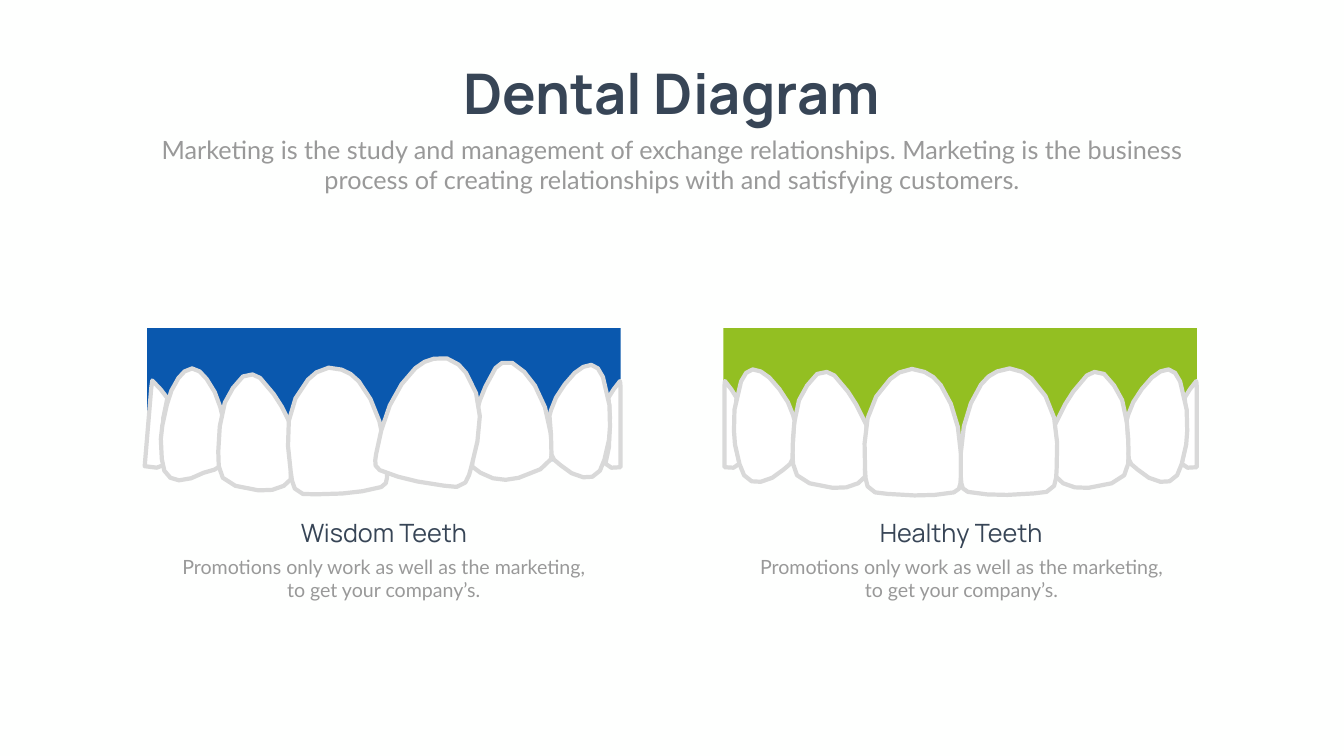
import dataclasses

import pptx
import pptx.dml.color
import pptx.enum.shapes
import pptx.enum.text
import pptx.util

Inches = pptx.util.Inches
GUM_TOP, GUM_WIDTH, GUM_HEIGHT = 6.51, 9.39, 2.64
NAVY, GREY = "374556", "999999"
ADVICE = "Promotions only work as well as the marketing, to get your company’s."


@dataclasses.dataclass
class Outline:
    """Width and corner points in hundredths of an inch."""
    width: int
    points: list[tuple[int, int]]


@dataclasses.dataclass
class Tooth:
    outline: Outline
    left: float
    top: float
    flip: bool = False
    turn: float = 0


@dataclasses.dataclass
class Mouth:
    title: str
    color: str
    left: float
    title_left: float
    note_left: float
    teeth: list[Tooth]


@dataclasses.dataclass
class Style:
    size: int
    font: str
    color: str
    bold: bool = False


EDGE = Outline(30, [
    (6, 33), (9, 72), (7, 131), (0, 164), (12, 172), (30, 171), (30, 11), (29, 0), (16, 17)])
SIDE = Outline(147, [
    (0, 107), (21, 65), (37, 40), (64, 8), (79, 1), (98, 5), (118, 28), (134, 57), (144, 104),
    (147, 154), (146, 183), (138, 206), (113, 222), (67, 231), (40, 230), (17, 222), (3, 209),
    (3, 196), (2, 162), (1, 133), (0, 118)])
CANINE = Outline(121, [
    (0, 101), (3, 90), (13, 65), (30, 39), (50, 16), (67, 4), (83, 0), (96, 7), (106, 24),
    (119, 80), (120, 122), (118, 149), (109, 188), (100, 210), (85, 222), (67, 223),
    (44, 215), (22, 199), (9, 188), (4, 178), (3, 138)])
FRONT = Outline(191, [
    (0, 216), (0, 167), (6, 115), (20, 69), (40, 32), (55, 16), (72, 6), (97, 0), (122, 7),
    (140, 20), (168, 55), (185, 98), (191, 148), (190, 200), (189, 217), (185, 233),
    (170, 245), (145, 248), (92, 251), (52, 250), (14, 245), (4, 238), (1, 228)])
BENT_EDGE = Outline(45, [
    (45, 35), (37, 74), (35, 133), (42, 166), (24, 173), (0, 170), (13, 15), (15, 0), (32, 18)])
BENT_SIDE = Outline(159, [
    (2, 122), (15, 76), (26, 49), (46, 12), (59, 2), (79, 2), (103, 20), (124, 47), (144, 90),
    (155, 140), (159, 168), (156, 193), (135, 213), (92, 230), (66, 234), (41, 231), (16, 220),
    (0, 208), (0, 175), (4, 132)])
BENT_CANINE = Outline(125, [
    (125, 115), (124, 102), (118, 77), (107, 47), (91, 21), (77, 6), (62, 0), (47, 6), (35, 19),
    (21, 44), (12, 72), (3, 113), (0, 140), (2, 180), (7, 203), (19, 217), (36, 222), (60, 218),
    (85, 207), (106, 201), (121, 192), (123, 173), (122, 151)])

MOUTHS = [
    Mouth("Healthy Teeth", "93BF22", 14.35, 16.57, 14.96, [
        Tooth(EDGE, 23.44, 7.56), Tooth(SIDE, 20.92, 7.37), Tooth(CANINE, 22.35, 7.33),
        Tooth(EDGE, 14.37, 7.56, True), Tooth(SIDE, 15.72, 7.37, True),
        Tooth(CANINE, 14.55, 7.33, True), Tooth(FRONT, 17.15, 7.32, True),
        Tooth(FRONT, 19.06, 7.31)]),
    Mouth("Wisdom Teeth", "0A58AE", 2.92, 5.12, 3.5, [
        Tooth(EDGE, 12.01, 7.56), Tooth(BENT_SIDE, 9.37, 7.18), Tooth(CANINE, 10.9, 7.24),
        Tooth(BENT_EDGE, 2.87, 7.55), Tooth(BENT_CANINE, 3.19, 7.31),
        Tooth(SIDE, 4.33, 7.42, True), Tooth(FRONT, 5.69, 7.29, True, 355),
        Tooth(FRONT, 7.63, 7.08, turn=12.3)]),
]


def paint(target, color: str) -> None:
    """Give a fill format a solid colour."""
    target.solid()
    target.fore_color.rgb = pptx.dml.color.RGBColor.from_string(color)


def add_tooth(slide, tooth: Tooth) -> None:
    wide = tooth.outline.width
    points = [(Inches(tooth.left + (wide - x if tooth.flip else x) / 100),
               Inches(tooth.top + y / 100)) for x, y in tooth.outline.points]
    pen = slide.shapes.build_freeform(*points[0])
    pen.add_line_segments(points[1:], close=True)
    shape = pen.convert_to_shape()
    shape.shadow.inherit = False
    shape.rotation = tooth.turn
    paint(shape.fill, "FFFFFF")
    paint(shape.line.fill, "D9D9D9")
    shape.line.width = pptx.util.Pt(6)


def add_text(slide, text: str, box: tuple, style: Style, wrap: bool = True) -> None:
    frame = slide.shapes.add_textbox(*map(Inches, box)).text_frame
    frame.word_wrap = wrap
    frame.auto_size = pptx.enum.text.MSO_AUTO_SIZE.SHAPE_TO_FIT_TEXT
    frame.text = text
    para = frame.paragraphs[0]
    para.alignment = pptx.enum.text.PP_ALIGN.CENTER
    font = para.runs[0].font
    font.name, font.size, font.bold = style.font, pptx.util.Pt(style.size), style.bold
    paint(font.fill, style.color)


def add_mouth(slide, mouth: Mouth) -> None:
    gum = slide.shapes.add_shape(
        pptx.enum.shapes.MSO_SHAPE.RECTANGLE,
        *map(Inches, (mouth.left, GUM_TOP, GUM_WIDTH, GUM_HEIGHT)))
    gum.shadow.inherit = False
    paint(gum.fill, mouth.color)
    gum.line.fill.background()
    for tooth in mouth.teeth:
        add_tooth(slide, tooth)
    add_text(slide, mouth.title, (mouth.title_left, 10.22, 4.99, 0.71),
             Style(36, "Manrope", NAVY))
    add_text(slide, ADVICE, (mouth.note_left, 10.96, 8.22, 1.04), Style(28, "Lato", GREY))


def main() -> None:
    deck = pptx.Presentation()
    deck.slide_width, deck.slide_height = Inches(26.66), Inches(15)
    slide = deck.slides.add_slide(deck.slide_layouts[6])
    paint(slide.background.fill, "FEFFFE")
    add_text(slide, "Dental Diagram", (8.65, 1.12, 9.35, 1.45),
             Style(80, "Manrope", NAVY, True), wrap=False)
    add_text(slide, "Marketing is the study and management of exchange relationships. "
             "Marketing is the business process of creating relationships with and "
             "satisfying customers.", (2.92, 2.61, 20.82, 1.31), Style(36, "Lato", GREY))
    for mouth in MOUTHS:
        add_mouth(slide, mouth)
    deck.save("out.pptx")


if __name__ == "__main__":
    main()
